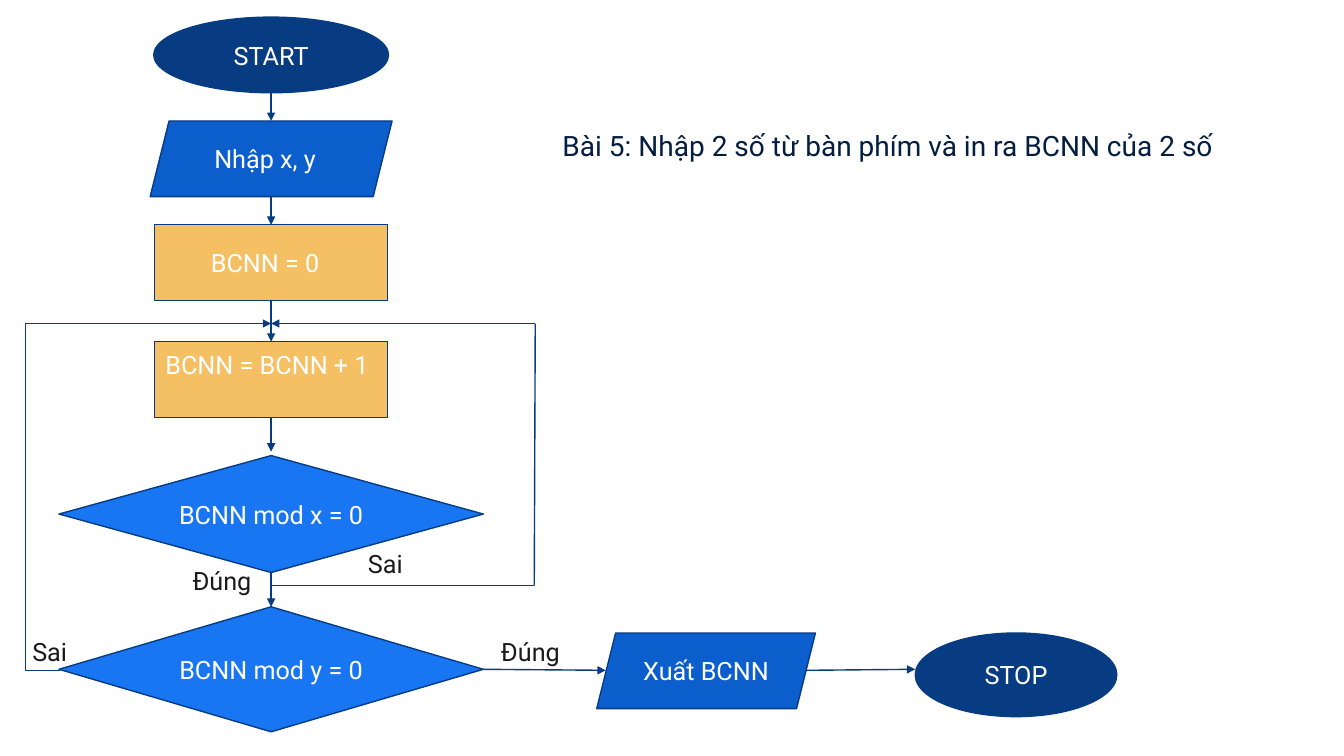
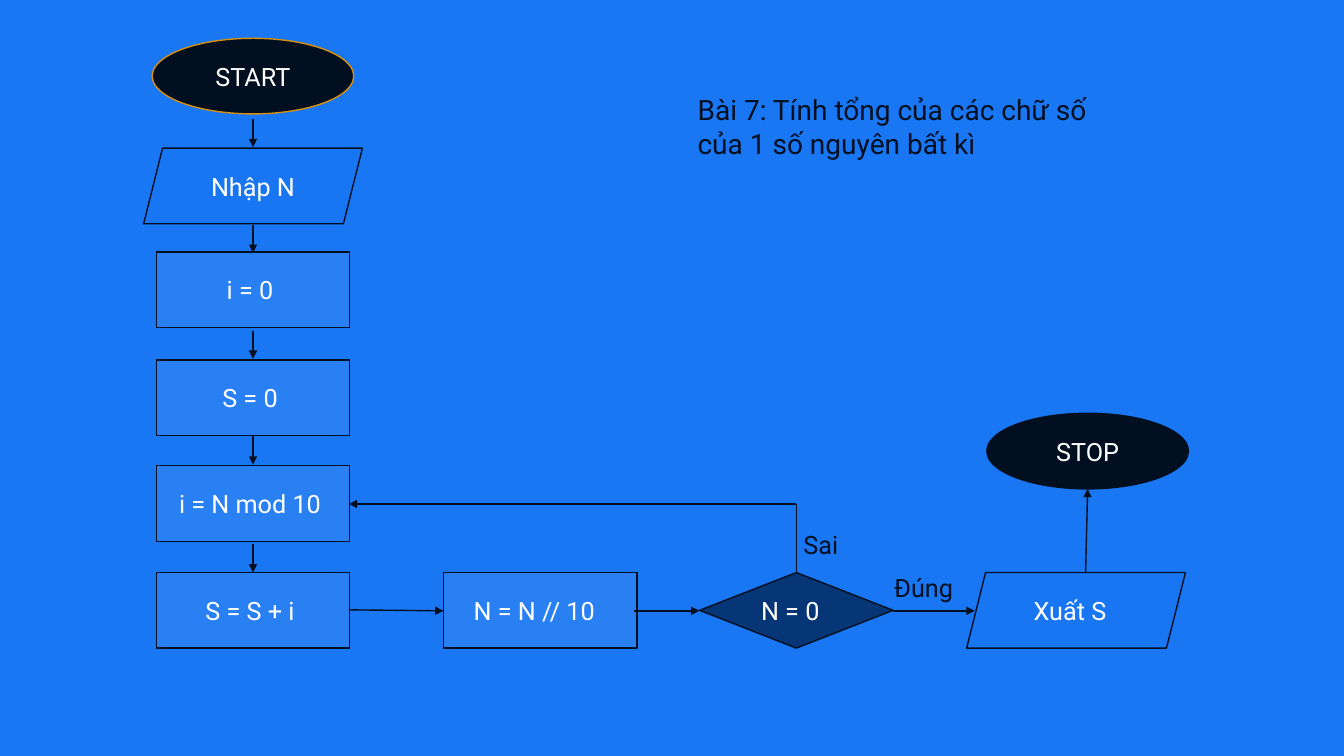
import pptx
import pptx.util
import pptx.dml.color
import pptx.enum.shapes
import pptx.enum.text
import pptx.oxml.ns
import lxml.etree

SHAPE = pptx.enum.shapes.MSO_SHAPE
ALIGN = pptx.enum.text.PP_ALIGN
ANCHOR = pptx.enum.text.MSO_ANCHOR
FIT = pptx.enum.text.MSO_AUTO_SIZE
rgb = pptx.dml.color.RGBColor.from_string
qn = pptx.oxml.ns.qn

THEME = {
    "font": "Roboto",
    "title size": pptx.util.Pt(20),
    "text size": pptx.util.Pt(18),
    "line width": pptx.util.Pt(1),
    "node text": "FFFFFF",
    "light": {
        "background": "FFFFFF", "title": "041E41", "label": "1A1A1A", "line": "073C82",
        "start": ("073C82", "073C82"), "stop": ("073C82", "073C82"),
        "data": ("0B5ECC", "073C82"), "process": ("F5C064", "073C82"),
        "decision": ("1876F2", "073C82"),
    },
    "blue": {
        "background": "1977F3", "title": "020F20", "label": "020F20", "line": "020F20",
        "start": ("020F20", "D88F0E"), "stop": ("020F20", "020F20"),
        "data": ("1876F2", "020F20"), "process": ("2980F3", "020F20"),
        "decision": ("063675", "020F20"),
    },
}
OUTLINES = {
    "start": SHAPE.OVAL, "stop": SHAPE.OVAL, "data": SHAPE.PARALLELOGRAM,
    "process": SHAPE.RECTANGLE, "decision": SHAPE.DIAMOND,
}
PLAIN = {"margin_left": 0, "margin_right": 0, "margin_top": 0, "margin_bottom": 0,
         "auto_size": FIT.NONE, "vertical_anchor": ANCHOR.TOP, "word_wrap": True}
CENTRED = PLAIN | {"vertical_anchor": ANCHOR.MIDDLE}

deck = pptx.Presentation()
deck.slide_width = pptx.util.Inches(13.333)
deck.slide_height = pptx.util.Inches(7.5)
CELL = deck.slide_height / 75
STEP = 7.5


def grid(*cells):
    return [round(cell * CELL) for cell in cells]


def write(frame, text, size, colour, alignment, layout):
    for attribute, value in layout.items():
        setattr(frame, attribute, value)
    paragraph = frame.paragraphs[0]
    paragraph.alignment = alignment
    run = paragraph.add_run()
    run.text = text
    for attribute, value in {"name": THEME["font"], "size": THEME[size]}.items():
        setattr(run.font, attribute, value)
    run.font.color.rgb = rgb(colour)


SPINE, SUM_SPINE, MERGE = 26.9, 25.1, 32.1
charts = [
    {
        "palette": "light",
        "title": ("Bài 5: Nhập 2 số từ bàn phím và in ra BCNN của 2 số", 55.8, 12.7, 68, 3.4),
        "nodes": [
            ("start", "START", SPINE, 1.7, 23.3, STEP, {}),
            ("data", "Nhập x, y", SPINE, 12, 24, STEP, {"margin_right": 1.2}),
            ("process", "BCNN = 0", SPINE, 22.3, 23.1, STEP, {"margin_right": 1.2}),
            ("process", "BCNN = BCNN + 1", SPINE, 33.9, 23.1, STEP,
             {"margin_right": 0.8, "margin_top": 0.8, "vertical_anchor": ANCHOR.TOP}),
            ("decision", "BCNN mod x = 0", SPINE, 45.2, 42.1, 11.6, {}),
            ("decision", "BCNN mod y = 0", SPINE, 60.2, 42.1, 12.4, {}),
            ("data", "Xuất BCNN", 70.05, 62.8, 21.7, STEP, {}),
            ("stop", "STOP", 100.8, 62.8, 20, 8.3, {}),
        ],
        "spine": SPINE,
        "drops": [(9.2, 12), (19.5, 22.3), (29.8, 33.9), (41.4, 44.8), (56.7, 60.2)],
        "routes": [
            [(47.8, 66.4), (60.1, 66.5)],
            [(79.9, 66.5), (90.8, 66.4)],
            [(6, 66.5), (2.5, 66.5), (2.5, MERGE), (SPINE, MERGE)],
            [(SPINE, 58.1), (53, 58.1), (53.1, MERGE), (SPINE, MERGE)],
        ],
        "labels": [("Đúng", 19.1, 56.1), ("Đúng", 49.7, 63.1),
                   ("Sai", 36.5, 54.4), ("Sai", 3.2, 63.1)],
    },
    {
        "palette": "blue",
        "title": ("Bài 7: Tính tổng của các chữ số của 1 số nguyên bất kì", 69.2, 9.2, 39.1, 6.7),
        "nodes": [
            ("start", "START", SUM_SPINE, 3.8, 20, STEP, {}),
            ("data", "Nhập N", SUM_SPINE, 14.7, 21.7, STEP, {}),
            ("process", "i = 0", SUM_SPINE, 25, 19.2, STEP, {"margin_right": 0.6}),
            ("process", "S = 0", SUM_SPINE, 35.7, 19.2, STEP, {"margin_right": 0.6}),
            ("process", "i = N mod 10", SUM_SPINE, 46.2, 19.2, STEP, {"margin_right": 0.6}),
            ("process", "S = S + i", SUM_SPINE, 56.8, 19.2, STEP, {"margin_right": 0.6}),
            ("process", "N = N // 10", 53.6, 56.8, 19.2, STEP, {"margin_right": 1.2}),
            ("decision", "N = 0", 79, 56.8, 19.2, STEP, {"margin_right": 1.2}),
            ("data", "Xuất S", 106.75, 56.8, 21.7, STEP, {"margin_right": 1.2}),
            ("stop", "STOP", 107.9, 41, 20, STEP, {}),
        ],
        "spine": SUM_SPINE,
        "drops": [(11.8, 14.6), (22.3, 25.1), (32.8, 35.6), (43.3, 46.1), (54, 56.8)],
        "routes": [
            [(34.6, 60.5), (44, 60.6)],
            [(62.9, 60.6), (69.4, 60.6)],
            [(88.6, 60.6), (96.7, 60.6)],
            [(79, 56.8), (79, 50), (34.6, 50)],
            [(107.7, 56.8), (107.9, 48.5)],
        ],
        "labels": [("Sai", 79.7, 52.5), ("Đúng", 88.7, 56.8)],
    },
]

for chart in charts:
    palette = THEME[chart["palette"]]
    slide = deck.slides.add_slide(deck.slide_layouts[5])
    slide.background.fill.solid()
    slide.background.fill.fore_color.rgb = rgb(palette["background"])

    heading, *place = chart["title"]
    title = slide.shapes.title
    for attribute, value in zip(("left", "top", "width", "height"), grid(*place)):
        setattr(title, attribute, value)
    write(title.text_frame, heading, "title size", palette["title"], ALIGN.LEFT, PLAIN)

    for kind, text, centre, top, width, height, shift in chart["nodes"]:
        node = slide.shapes.add_shape(
            OUTLINES[kind], *grid(centre - width / 2, top, width, height))
        fill, outline = palette[kind]
        node.shadow.inherit = False
        node.fill.solid()
        node.fill.fore_color.rgb = rgb(fill)
        node.line.color.rgb = rgb(outline)
        node.line.width = THEME["line width"]
        margins = {name: grid(value)[0] if name.startswith("margin") else value
                   for name, value in shift.items()}
        write(node.text_frame, text, "text size", THEME["node text"],
              ALIGN.CENTER, CENTRED | margins)

    spine = chart["spine"]
    drops = [[(spine, top), (spine, bottom)] for top, bottom in chart["drops"]]
    for route in drops + chart["routes"]:
        for begin, end in zip(route, route[1:]):
            link = slide.shapes.add_connector(
                pptx.enum.shapes.MSO_CONNECTOR.STRAIGHT, *grid(*begin, *end))
            link.line.color.rgb = rgb(palette["line"])
            link.line.width = THEME["line width"]
            lxml.etree.SubElement(link._element.spPr, qn("a:effectLst"))
        lxml.etree.SubElement(link.line._get_or_add_ln(), qn("a:tailEnd"), type="triangle")

    for text, left, top in chart["labels"]:
        label = slide.shapes.add_textbox(*grid(left, top, 6.5, 3))
        write(label.text_frame, text, "text size", palette["label"], ALIGN.LEFT, PLAIN)

deck.save("out.pptx")
